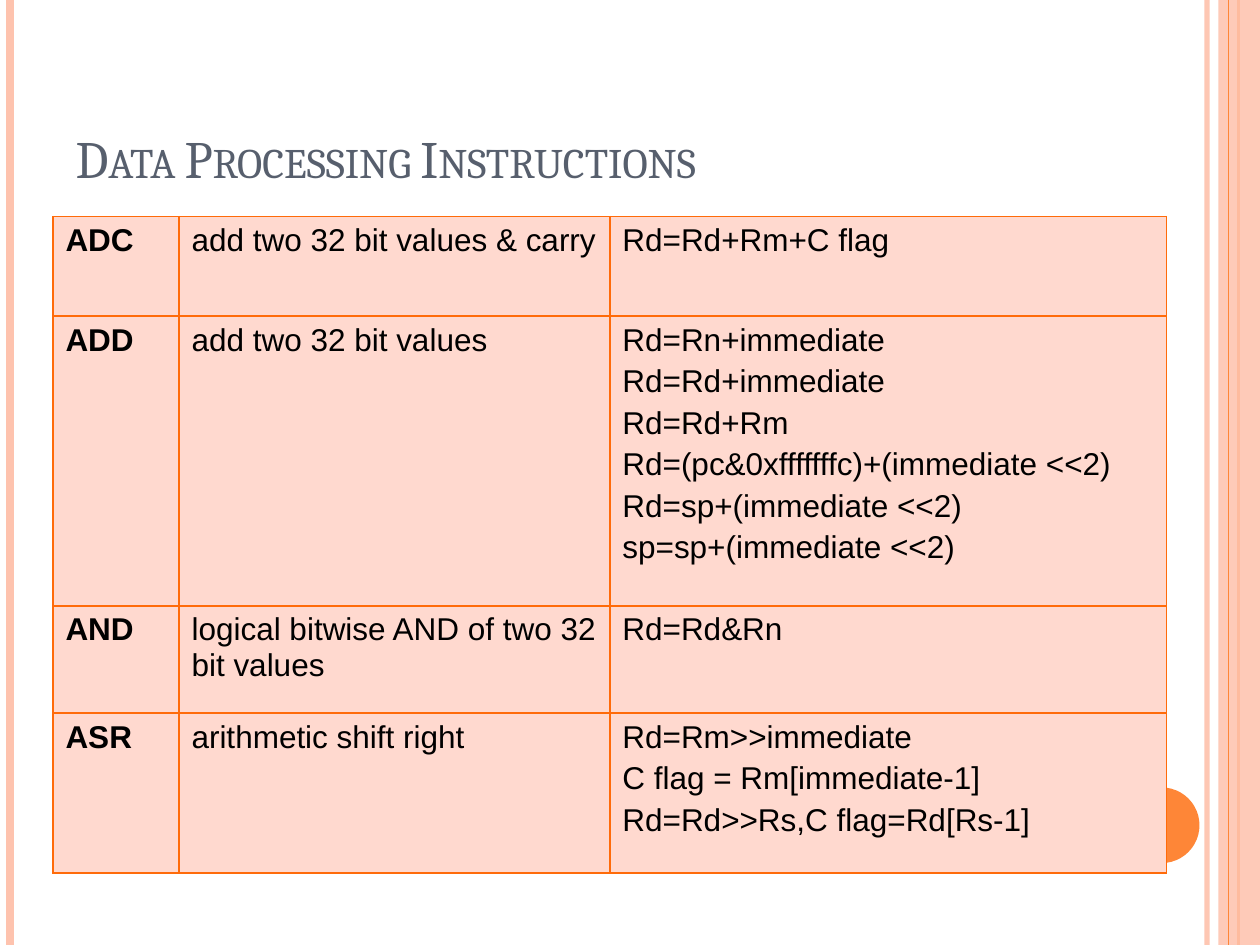
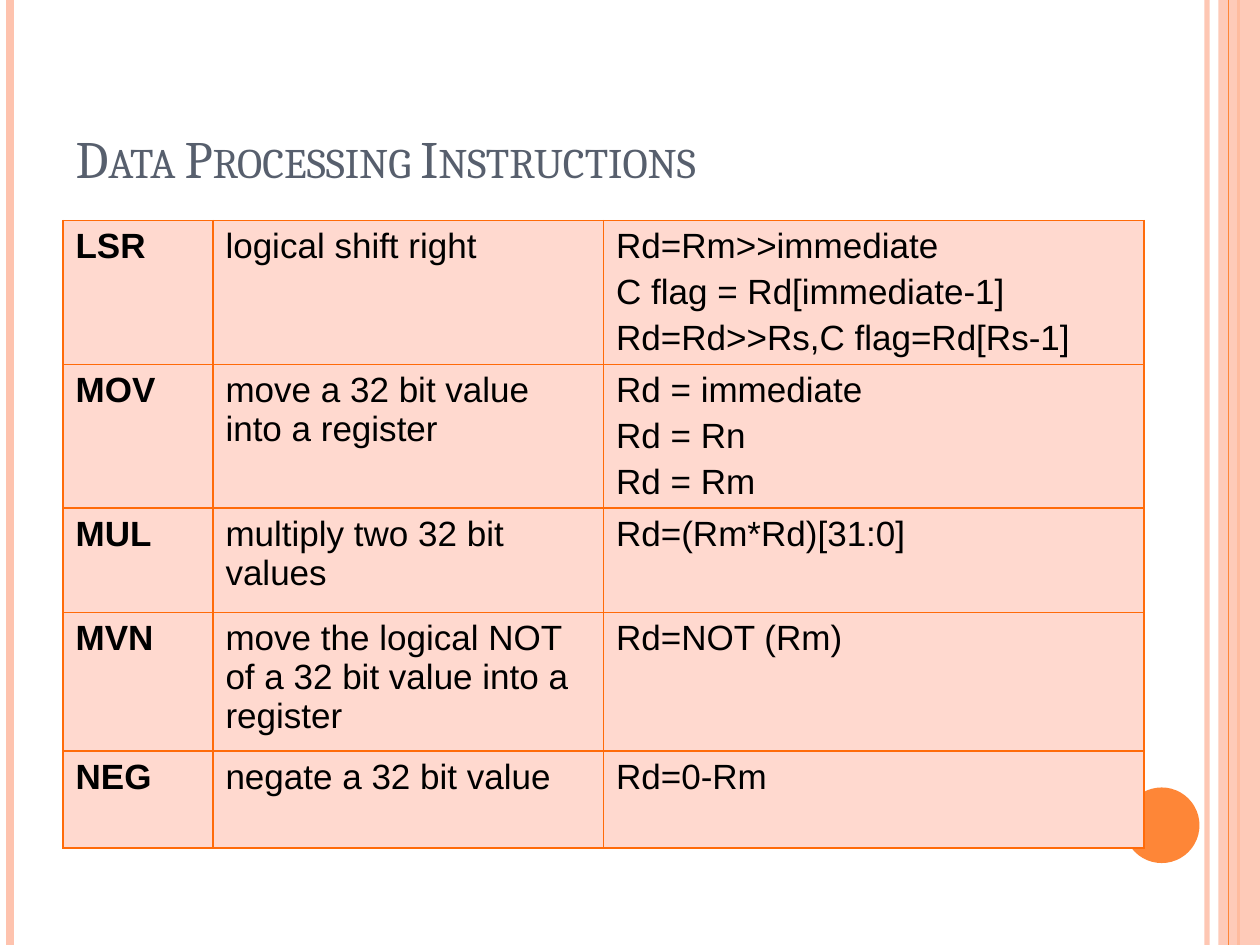
from lxml import etree
from pptx import Presentation
from pptx.dml.color import RGBColor as RGB
from pptx.enum.shapes import MSO_CONNECTOR as Conn, MSO_SHAPE as Shape
from pptx.enum.text import MSO_ANCHOR as Anchor, PP_ALIGN as Align
from pptx.oxml import parse_xml
from pptx.oxml.ns import nsdecls, qn
from pptx.util import Inches, Pt

COLORS = {
    "title": "575F6D",
    "text": "000000",
    "pale": "FEC3AE",
    "accent": "FE8637",
    "border": "FF6B0A",
    "cell": "FFD9CF",
}
HEIGHT = 7.5
TITLE = "Data Processing Instructions"

# Each row: height, mnemonic, meaning, operations
TABLES = [
    {
        "left": 0.42, "top": 1.72, "size": 18, "cols": [1, 3.42, 4.42],
        "rows": [
            (0.79, "ADC", "add two 32 bit values & carry", ["Rd=Rd+Rm+C flag"]),
            (2.3, "ADD", "add two 32 bit values", [
                "Rd=Rn+immediate",
                "Rd=Rd+immediate",
                "Rd=Rd+Rm",
                "Rd=(pc&0xfffffffc)+(immediate <<2)",
                "Rd=sp+(immediate <<2)",
                "sp=sp+(immediate <<2)",
            ]),
            (0.85, "AND", "logical bitwise AND of two 32 bit values", ["Rd=Rd&Rn"]),
            (1.27, "ASR", "arithmetic shift right", [
                "Rd=Rm>>immediate",
                "C flag = Rm[immediate-1]",
                "Rd=Rd>>Rs,C flag=Rd[Rs-1]",
            ]),
        ],
    },
    {
        "left": 0.5, "top": 1.75, "size": 20, "cols": [1.19, 3.1, 4.29],
        "rows": [
            (1.14, "LSR", "logical shift right", [
                "Rd=Rm>>immediate",
                "C flag = Rd[immediate-1]",
                "Rd=Rd>>Rs,C flag=Rd[Rs-1]",
            ]),
            (1.14, "MOV", "move a 32 bit value into a register", [
                "Rd = immediate",
                "Rd = Rn",
                "Rd = Rm",
            ]),
            (0.83, "MUL", "multiply two 32 bit values", ["Rd=(Rm*Rd)[31:0]"]),
            (1.1, "MVN", "move the logical NOT of a 32 bit value into a register",
             ["Rd=NOT (Rm)"]),
            (0.77, "NEG", "negate a 32 bit value", ["Rd=0-Rm"]),
        ],
    },
]


def rgb(name):
    return RGB.from_string(COLORS[name])


def fade(shape, alpha):
    """Make the shape's own colours partly transparent (alpha in percent)."""
    for tint in shape._element.iter(qn("a:srgbClr")):
        etree.SubElement(tint, qn("a:alpha")).set("val", str(alpha * 1000))


class Deck:
    def __init__(self):
        self.prs = Presentation()
        self.prs.slide_width = Inches(10)
        self.prs.slide_height = Inches(HEIGHT)
        self.slide = None

    def add(self, title):
        """Start a slide with the shared bands and title."""
        self.slide = self.prs.slides.add_slide(self.prs.slide_layouts[5])
        self.line(9.58, "pale", 3, 93)
        self.line(0.08, "pale", 4.5)
        self.line(9.83, "accent", 1.5)
        self.block(Shape.RECTANGLE, (9.67, 0, 0.33, HEIGHT), "pale", 87)
        self.line(9.75, "accent", 0.75)
        self.block(Shape.OVAL, (8.92, 6.25, 0.6, 0.6), "accent")
        self.title(title)

    def font(self, font, color, **style):
        for key, value in style.items():
            setattr(font, key, value)
        font.color.rgb = rgb(color)

    def title(self, text):
        box = self.slide.shapes.title
        place = {"left": 0.5, "top": 0.3, "width": 9, "height": 1.25}
        for key, value in place.items():
            setattr(box, key, Inches(value))
        frame = box.text_frame
        frame.text = text
        frame.word_wrap = True
        frame.vertical_anchor = Anchor.BOTTOM
        para = frame.paragraphs[0]
        para.alignment = Align.LEFT
        run = para.runs[0]
        self.font(run.font, "title", name="Cambria", size=Pt(30))
        run._r.get_or_add_rPr().set("cap", "small")

    def line(self, x, color, width, alpha=None):
        """Draw a full-height vertical line."""
        line = self.slide.shapes.add_connector(
            Conn.STRAIGHT, Inches(x), 0, Inches(x), Inches(HEIGHT))
        line.line.color.rgb = rgb(color)
        line.line.width = Pt(width)
        etree.SubElement(line._element.spPr, qn("a:effectLst"))
        if alpha:
            fade(line, alpha)

    def block(self, kind, place, color, alpha=None):
        shape = self.slide.shapes.add_shape(kind, *map(Inches, place))
        shape.shadow.inherit = False
        shape.fill.solid()
        shape.fill.fore_color.rgb = rgb(color)
        shape.line.fill.background()
        if alpha:
            fade(shape, alpha)

    def table(self, left, top, size, cols, rows):
        high = sum(row[0] for row in rows)
        place = map(Inches, (left, top, sum(cols), high))
        table = self.slide.shapes.add_table(len(rows), len(cols), *place).table
        table.first_row = table.horz_banding = False
        for col, width in zip(table.columns, cols):
            col.width = Inches(width)
        for r, (height, code, about, steps) in enumerate(rows):
            table.rows[r].height = Inches(height)
            for c, lines in enumerate(([code], [about], steps)):
                self.cell(table.cell(r, c), lines, size, c == 0)

    def cell(self, cell, lines, size, bold):
        props = cell._tc.get_or_add_tcPr()
        for side in "LRTB":
            props.append(parse_xml(
                f'<a:ln{side} {nsdecls("a")} w="{Pt(1)}"><a:solidFill>'
                f'<a:srgbClr val="{COLORS["border"]}"/></a:solidFill></a:ln{side}>'))
        cell.fill.solid()
        cell.fill.fore_color.rgb = rgb("cell")
        frame = cell.text_frame
        frame.text = "\n".join(lines)
        for i, para in enumerate(frame.paragraphs):
            if i:
                para.space_before = Pt(size * 0.2)
            self.font(para.runs[0].font, "text",
                      name="Arial", size=Pt(size), bold=bold)


def main():
    deck = Deck()
    for data in TABLES:
        deck.add(TITLE)
        deck.table(**data)
    deck.prs.save("out.pptx")


if __name__ == "__main__":
    main()
